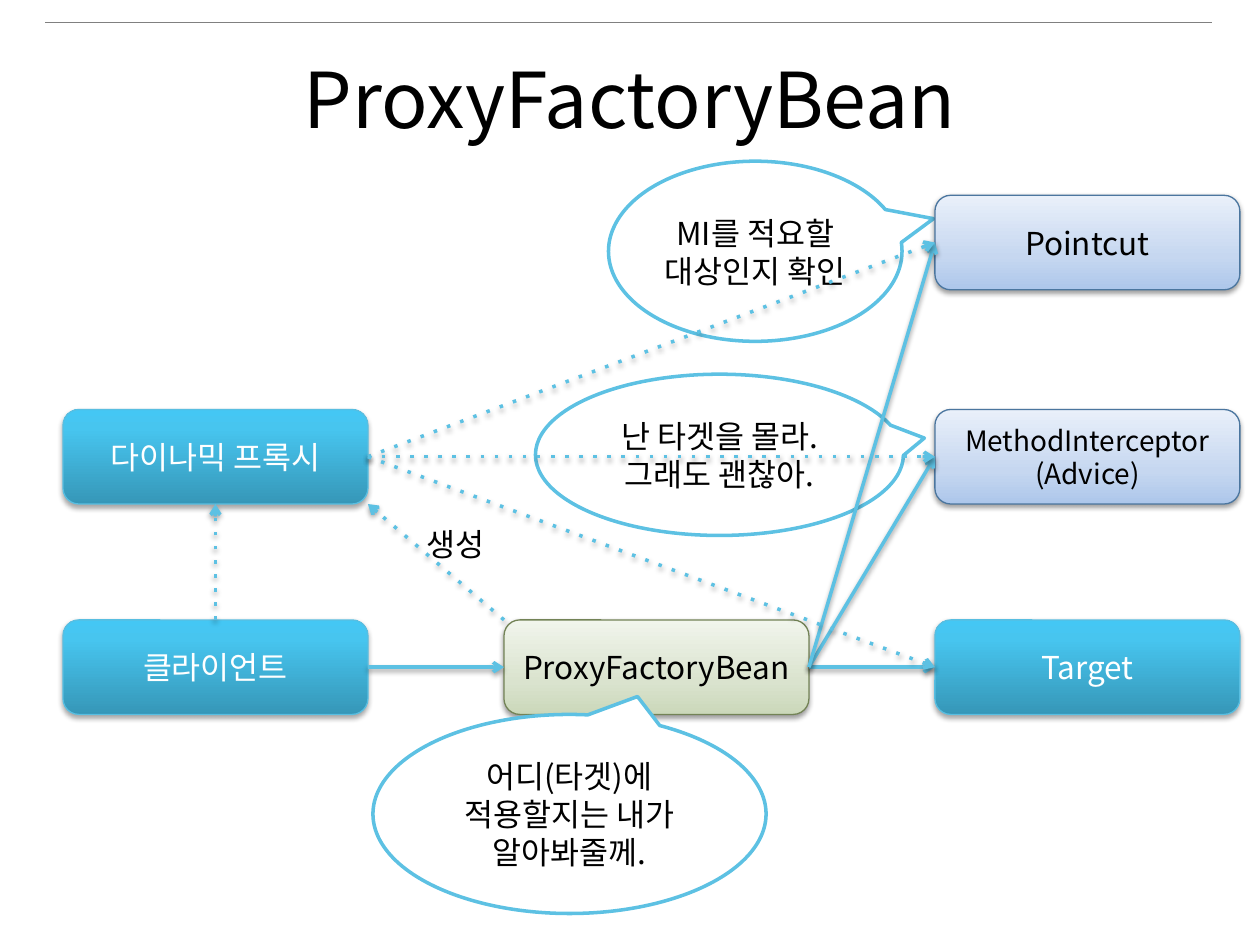
from lxml import etree
from pptx import Presentation
from pptx.dml.color import RGBColor
from pptx.enum.shapes import MSO_CONNECTOR as CONN, MSO_SHAPE as SHAPE
from pptx.enum.text import MSO_ANCHOR as ANCHOR, PP_ALIGN as ALIGN
from pptx.oxml.ns import qn
from pptx.util import Inches, Pt

FONT = "Noto Sans CJK KR"
ACCENT = "5DC1E3"
COLS = (0.5, 4, 7.42)
ROWS = (1.55, 3.25, 4.92)
BOX_W, BOX_H = 2.42, 0.75

# style: gradient stops from bottom to top, line, text colour, shadow opacity, shadow distance
STYLES = {
    "blue": (((0, "3697B8"), (80, "47C5EF"), (100, "44C7F4")), "58BEE1", "FFFFFF", 35, 1.8),
    "pale": (((0, "ADC7EB"), (35, "C6D7F0"), (100, "E9F0FA")), "4B769F", "000000", 38, 1.6),
    "green": (((0, "CBD8BA"), (35, "DAE3CE"), (100, "F1F5EC")), "738356", "000000", 38, 1.6),
}
# name: column, row, style, lines, text size
BOXES = {
    "factory": (1, 2, "green", ["ProxyFactoryBean"], 18),
    "advice": (2, 1, "pale", ["MethodInterceptor", "(Advice)"], 16),
    "target": (2, 2, "blue", ["Target"], 18),
    "proxy": (0, 1, "blue", ["다이나믹 프록시"], 18),
    "pointcut": (2, 0, "pale", ["Pointcut"], 18),
    "client": (0, 2, "blue", ["클라이언트"], 18),
}
# from box, side, to box, side, dotted
ARROWS = [
    ("client", "right", "factory", "left", False),
    ("factory", "right", "target", "left", False),
    ("factory", "right", "advice", "left", False),
    ("factory", "right", "pointcut", "left", False),
    ("factory", "top left", "proxy", "bottom right", True),
    ("proxy", "right", "pointcut", "left", True),
    ("proxy", "right", "advice", "left", True),
    ("proxy", "right", "target", "left", True),
    ("client", "top", "proxy", "bottom", True),
]
SITES = ("top", "left", "bottom", "right")
# place, pointer tip, text
BACK_CALLOUTS = [
    ((4.25, 2.97, 2.92, 1.28), (0.557, -0.104), "난 타겟을 몰라. 그래도 괜찮아."),
    ((4.83, 1.28, 2.33, 1.43), (0.607, -0.181), "MI를 적요할 대상인지 확인"),
]
FRONT_CALLOUT = ((2.96, 5.67, 3.12, 1.58), (0.173, -0.59), "어디(타겟)에 적용할지는 내가 알아봐줄께.")


def rgb(color):
    """Turn a hex string into a colour."""
    return RGBColor.from_string(color)


def child(parent, tag, **attrs):
    """Append a drawing element to its parent."""
    return etree.SubElement(parent, qn("a:" + tag), {k: str(v) for k, v in attrs.items()})


def write(sp, lines, size=18, color="000000", align=ALIGN.CENTER, anchor=ANCHOR.MIDDLE,
          wrap=True, spacing=None):
    """Put formatted paragraphs into a shape."""
    tf = sp.text_frame
    tf.word_wrap, tf.vertical_anchor = wrap, anchor
    for i, line in enumerate(lines):
        p = tf.add_paragraph() if i else tf.paragraphs[0]
        p.alignment = align
        if spacing:
            p.line_spacing = Pt(spacing)
        r = p.add_run()
        r.text = line
        r.font.name, r.font.size, r.font.color.rgb = FONT, Pt(size), rgb(color)
        child(r.font._element, "ea", typeface=FONT)


def outline(line, color, width):
    """Set a line's colour and width in points."""
    line.color.rgb, line.width = rgb(color), Pt(width)


def cast_shadow(effects, opacity, distance):
    """Add a soft downward shadow to an effect list."""
    shadow = child(effects, "outerShdw", blurRad=Pt(3.1), dist=Pt(distance),
                   dir=5400000, rotWithShape=0)
    child(child(shadow, "srgbClr", val="000000"), "alpha", val=opacity * 1000)


def add_box(s, col, row, style, lines, size):
    """Add a rounded gradient box on the grid."""
    stops, edge, color, opacity, distance = STYLES[style]
    sp = s.shapes.add_shape(SHAPE.ROUNDED_RECTANGLE, Inches(COLS[col]), Inches(ROWS[row]),
                            Inches(BOX_W), Inches(BOX_H))
    sp.fill.gradient()
    grad = sp._element.spPr.find(qn("a:gradFill"))
    for part in list(grad):
        grad.remove(part)
    stop_list = child(grad, "gsLst")
    for pos, stop in stops:
        child(child(stop_list, "gs", pos=pos * 1000), "srgbClr", val=stop)
    child(grad, "lin", ang=16200000, scaled=0)
    outline(sp.line, edge, 0.75)
    sp.shadow.inherit = False
    cast_shadow(sp._element.spPr.find(qn("a:effectLst")), opacity, distance)
    write(sp, lines, size=size, color=color, spacing=19 if len(lines) > 1 else None)
    return sp


def add_callout(s, place, tip, text):
    """Add a white speech bubble."""
    sp = s.shapes.add_shape(SHAPE.OVAL_CALLOUT, *map(Inches, place))
    sp.adjustments[0], sp.adjustments[1] = tip
    sp.fill.solid()
    sp.fill.fore_color.rgb = rgb("FFFFFF")
    outline(sp.line, ACCENT, 2)
    sp.shadow.inherit = False
    write(sp, [text], spacing=21.7)


def add_line(s, start, end, color, width):
    """Add a straight line and its empty effect list."""
    line = s.shapes.add_connector(CONN.STRAIGHT, *start, *end)
    outline(line.line, color, width)
    return line, child(line._element.spPr, "effectLst")


def anchor_point(sp, side):
    """Find the point on a box's side or corner."""
    x = 0 if "left" in side else 1 if "right" in side else 0.5
    y = 0 if "top" in side else 1 if "bottom" in side else 0.5
    return int(sp.left + x * sp.width), int(sp.top + y * sp.height)


def add_arrow(s, source, out_side, target, in_side, dotted):
    """Join two boxes with a shadowed arrow."""
    line, effects = add_line(s, anchor_point(source, out_side),
                             anchor_point(target, in_side), ACCENT, 2)
    if out_side in SITES and in_side in SITES:
        line.begin_connect(source, SITES.index(out_side))
        line.end_connect(target, SITES.index(in_side))
    ln = line._element.spPr.find(qn("a:ln"))
    if dotted:
        child(ln, "prstDash", val="dot")
    child(ln, "tailEnd", type="arrow")
    cast_shadow(effects, 38, 1.6)


def build():
    """Build and save the slide."""
    prs = Presentation()
    prs.slide_width, prs.slide_height = Inches(10), Inches(7.5)
    s = prs.slides.add_slide(prs.slide_layouts[6])
    add_line(s, (Inches(0.36), Inches(0.18)), (Inches(9.62), Inches(0.18)), "808080", 0.25)
    for callout in BACK_CALLOUTS:
        add_callout(s, *callout)
    title = s.shapes.add_textbox(*map(Inches, (0.5, 0.3, 9, 1.25)))
    write(title, ["ProxyFactoryBean"], size=44, anchor=ANCHOR.TOP, spacing=57)
    boxes = {name: add_box(s, *box) for name, box in BOXES.items()}
    for source, out_side, target, in_side, dotted in ARROWS:
        add_arrow(s, boxes[source], out_side, boxes[target], in_side, dotted)
    label = s.shapes.add_textbox(*map(Inches, (3.29, 4.12, 0.71, 0.4)))
    write(label, ["생성"], align=ALIGN.LEFT, anchor=ANCHOR.TOP, wrap=False, spacing=21.7)
    add_callout(s, *FRONT_CALLOUT)
    prs.save("out.pptx")


build()
